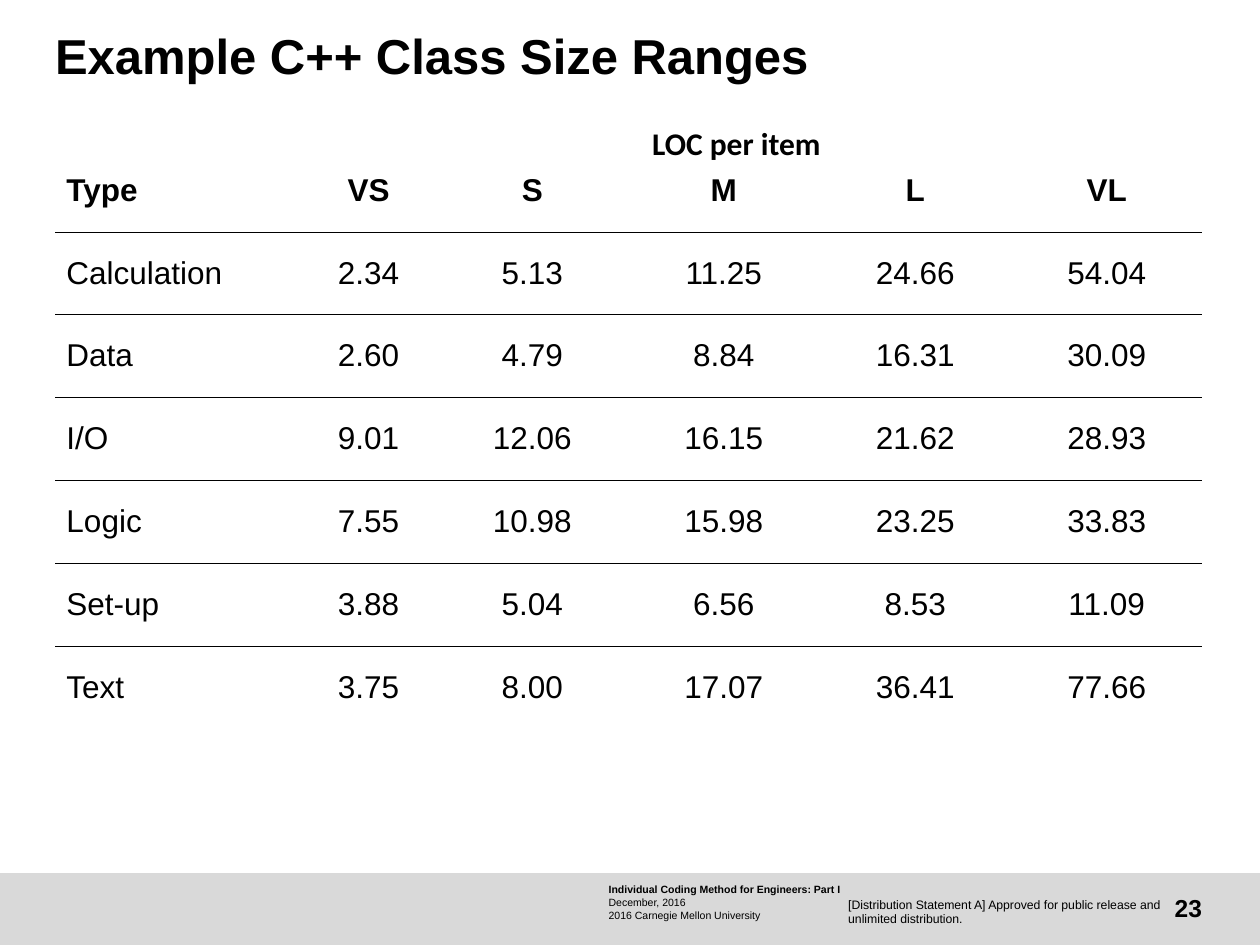
from lxml import etree
from pptx import Presentation
from pptx.dml.color import RGBColor
from pptx.enum.shapes import MSO_SHAPE
from pptx.enum.text import MSO_ANCHOR, PP_ALIGN
from pptx.oxml.ns import qn
from pptx.util import Cm, Pt

BLACK = RGBColor(0, 0, 0)
GREY = RGBColor(0xD9, 0xD9, 0xD9)
LEFT, MID, RIGHT = PP_ALIGN.LEFT, PP_ALIGN.CENTER, PP_ALIGN.RIGHT
TOP, CENTER = MSO_ANCHOR.TOP, MSO_ANCHOR.MIDDLE
RECT = MSO_SHAPE.RECTANGLE
TITLE_ONLY = 5
NO_STYLE = "{2D5ABB26-0587-4C30-8999-92F81FD0307C}"

WIDTHS = [4.95, 2.74] + [3.86] * 4
ROW = 1.67
SIZES = [
    ["Type", "VS", "S", "M", "L", "VL"],
    ["Calculation", "2.34", "5.13", "11.25", "24.66", "54.04"],
    ["Data", "2.60", "4.79", "8.84", "16.31", "30.09"],
    ["I/O", "9.01", "12.06", "16.15", "21.62", "28.93"],
    ["Logic", "7.55", "10.98", "15.98", "23.25", "33.83"],
    ["Set-up", "3.88", "5.04", "6.56", "8.53", "11.09"],
    ["Text", "3.75", "8.00", "17.07", "36.41", "77.66"],
]


def add_run(para, text, size, bold=False, face="Arial"):
    run = para.add_run()
    run.text = text
    run.font.size = Pt(size)
    run.font.bold = bold
    run.font.name = face
    run.font.color.rgb = BLACK


def set_frame(frame, anchor=TOP):
    frame.word_wrap = True
    frame.vertical_anchor = anchor
    frame.margin_left = frame.margin_right = 0
    frame.margin_top = frame.margin_bottom = 0


def add_title(slide, text):
    title = slide.shapes.title
    title.left, title.top = Cm(1.11), Cm(0.64)
    title.width, title.height = Cm(21.11), Cm(1.85)
    set_frame(title.text_frame)
    para = title.text_frame.paragraphs[0]
    para.alignment = LEFT
    para.line_spacing = 0.9
    add_run(para, text, 28, True)


def add_text(slide, box, lines, size, align=LEFT, anchor=TOP, face="Arial"):
    shape = slide.shapes.add_textbox(*map(Cm, box))
    frame = shape.text_frame
    set_frame(frame, anchor)
    for i, (text, bold) in enumerate(lines):
        para = frame.add_paragraph() if i else frame.paragraphs[0]
        para.alignment = align
        add_run(para, text, size, bold, face)


def add_band(slide):
    band = slide.shapes.add_shape(RECT, 0, Cm(17.6), Cm(25.4), Cm(1.45))
    band.shadow.inherit = False
    band.fill.solid()
    band.fill.fore_color.rgb = GREY
    band.line.fill.background()


def add_edge(cell, side):
    props = cell._tc.get_or_add_tcPr()
    edge = etree.Element(qn("a:" + side), w=str(Pt(0.06)))
    fill = etree.SubElement(edge, qn("a:solidFill"))
    etree.SubElement(fill, qn("a:srgbClr"), val=str(BLACK))
    props.insert(0, edge)


def fill_cell(cell, text, head, first):
    cell.fill.background()
    cell.vertical_anchor = CENTER
    cell.margin_left = Cm(0.23 if first else 0.25)
    cell.margin_right = Cm(0.25)
    cell.margin_top = cell.margin_bottom = Cm(0.13)
    para = cell.text_frame.paragraphs[0]
    para.alignment = LEFT if first else MID
    add_run(para, text, 18, head)


def add_grid(slide):
    count = len(SIZES)
    frame = slide.shapes.add_table(
        count, len(WIDTHS), Cm(1.11), Cm(3), Cm(sum(WIDTHS)), Cm(ROW * count))
    table = frame.table
    table._tbl.tblPr.find(qn("a:tableStyleId")).text = NO_STYLE
    table.horz_banding = False
    for col, width in zip(table.columns, WIDTHS):
        col.width = Cm(width)
    for r, line in enumerate(SIZES):
        table.rows[r].height = Cm(ROW)
        for c, text in enumerate(line):
            cell = table.cell(r, c)
            fill_cell(cell, text, r == 0, c == 0)
            if r < count - 1:
                add_edge(cell, "lnB")
            if r:
                add_edge(cell, "lnT")


def main():
    deck = Presentation()
    deck.slide_width, deck.slide_height = Cm(25.4), Cm(19.05)
    slide = deck.slides.add_slide(deck.slide_layouts[TITLE_ONLY])
    add_band(slide)
    add_text(slide, (12.27, 17.81, 5.61, 0.76), [
        ("Individual Coding Method for Engineers: Part I", True),
        ("December, 2016", False),
        ("2016 Carnegie Mellon University", False),
    ], 6)
    add_text(slide, (22.81, 17.78, 1.42, 1.02), [("23", True)], 14, RIGHT, CENTER)
    add_text(slide, (17.1, 18.08, 6.45, 0.58), [
        ("[Distribution Statement A] Approved for public release and "
         "unlimited distribution.", False),
    ], 7)
    add_title(slide, "Example C++ Class Size Ranges")
    add_grid(slide)
    add_text(slide, (8.1, 2.51, 13.49, 0.76), [("LOC per item", True)],
             18, MID, face="Calibri")
    deck.save("out.pptx")


if __name__ == "__main__":
    main()
